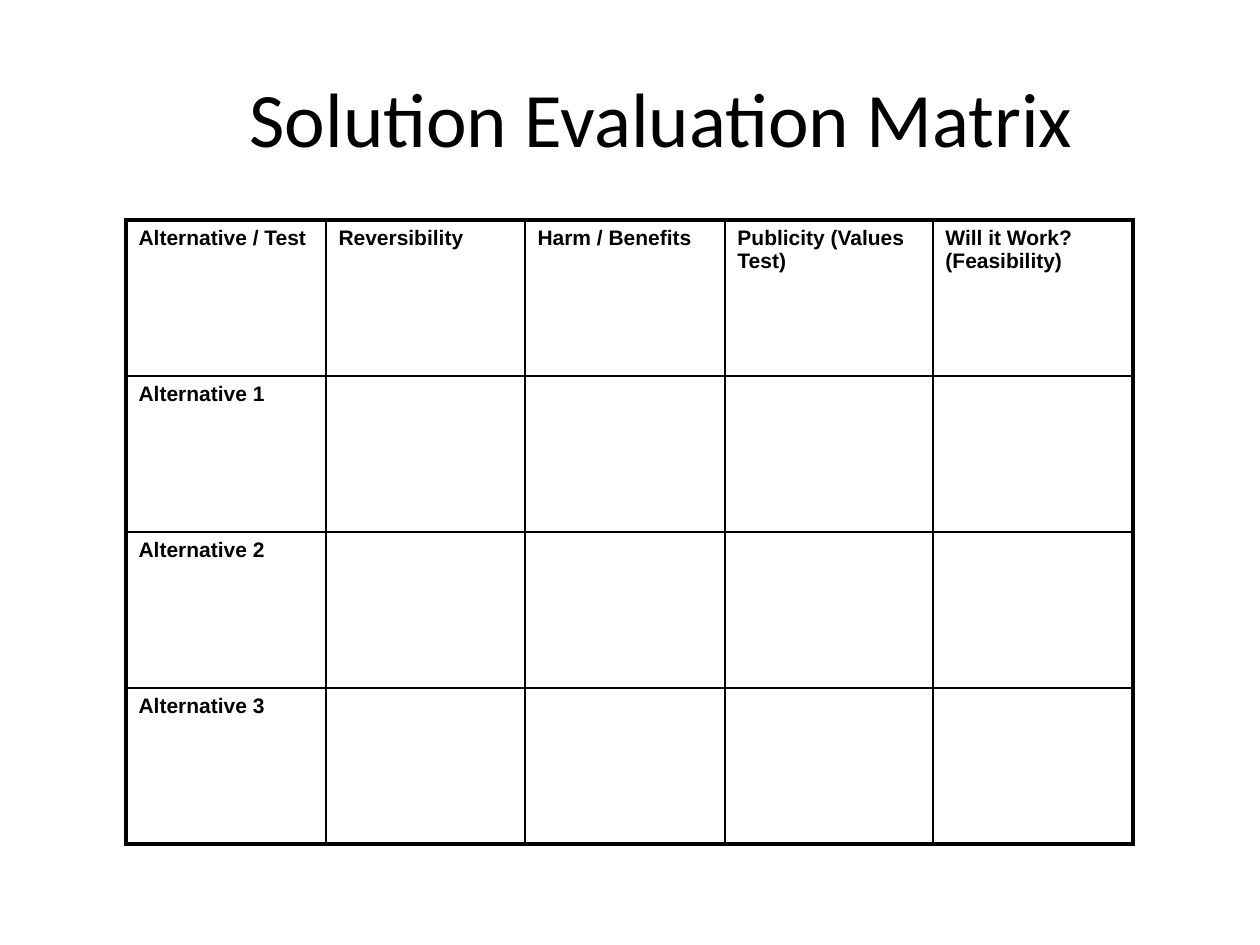
from lxml.etree import SubElement
from pptx import Presentation
from pptx.dml.color import RGBColor
from pptx.enum.text import MSO_ANCHOR, PP_ALIGN
from pptx.oxml.ns import qn
from pptx.util import Pt

TITLE = "Solution Evaluation Matrix"
TESTS = ["Alternative / Test", "Reversibility", "Harm / Benefits",
         "Publicity (Values Test)", "Will it Work? (Feasibility)"]
ALTERNATIVES = ["Alternative 1", "Alternative 2", "Alternative 3"]
MATRIX = [TESTS] + [[name] + [""] * (len(TESTS) - 1) for name in ALTERNATIVES]

BLACK = RGBColor(0, 0, 0)
WHITE = RGBColor(255, 255, 255)
OUTER, INNER = Pt(2.25), Pt(1)

COLUMN_WIDTHS = [200, 199, 200, 208, 200]
ROW_HEIGHT = 156


def px(length):
    return round(length * 914400 / 126)


def add_text(paragraph, text, font_name, size, bold=False):
    run = paragraph.add_run()
    run.text = text
    run.font.name = font_name
    run.font.size = Pt(size)
    run.font.bold = bold
    run.font.color.rgb = BLACK


def set_borders(cell, widths):
    """Draw solid black borders; widths maps L, R, T and B to line widths."""
    properties = cell._tc.get_or_add_tcPr()
    for position, (side, width) in enumerate(widths.items()):
        line = SubElement(properties, qn(f"a:ln{side}"), w=str(width))
        fill = SubElement(line, qn("a:solidFill"))
        SubElement(fill, qn("a:srgbClr"), val=str(BLACK))
        properties.insert(position, line)  # borders come before the cell fill


def add_title(slide):
    box = slide.shapes.add_textbox(px(126), px(38), px(1071), px(157))
    frame = box.text_frame
    frame.word_wrap = True
    frame.vertical_anchor = MSO_ANCHOR.MIDDLE
    frame.paragraphs[0].alignment = PP_ALIGN.CENTER
    add_text(frame.paragraphs[0], TITLE, "Calibri", 44)


def add_matrix(slide):
    last_row, last_column = len(MATRIX) - 1, len(TESTS) - 1
    table = slide.shapes.add_table(
        len(MATRIX), len(TESTS), px(126), px(220),
        px(sum(COLUMN_WIDTHS)), px(ROW_HEIGHT * len(MATRIX))).table
    table.first_row = table.horz_banding = False
    for column, width in zip(table.columns, COLUMN_WIDTHS):
        column.width = px(width)

    for r, texts in enumerate(MATRIX):
        table.rows[r].height = px(ROW_HEIGHT)
        for c, text in enumerate(texts):
            cell = table.cell(r, c)
            cell.fill.solid()
            cell.fill.fore_color.rgb = WHITE
            set_borders(cell, {
                "L": OUTER if c == 0 else INNER,
                "R": OUTER if c == last_column else INNER,
                "T": OUTER if r == 0 else INNER,
                "B": OUTER if r == last_row else INNER,
            })
            if text:
                paragraph = cell.text_frame.paragraphs[0]
                paragraph.space_before = Pt(2.4)
                add_text(paragraph, text, "Arial", 12, bold=True)


def main():
    deck = Presentation()
    deck.slide_width, deck.slide_height = px(1260), px(945)
    slide = deck.slides.add_slide(deck.slide_layouts[6])
    add_title(slide)
    add_matrix(slide)
    deck.save("out.pptx")


if __name__ == "__main__":
    main()
